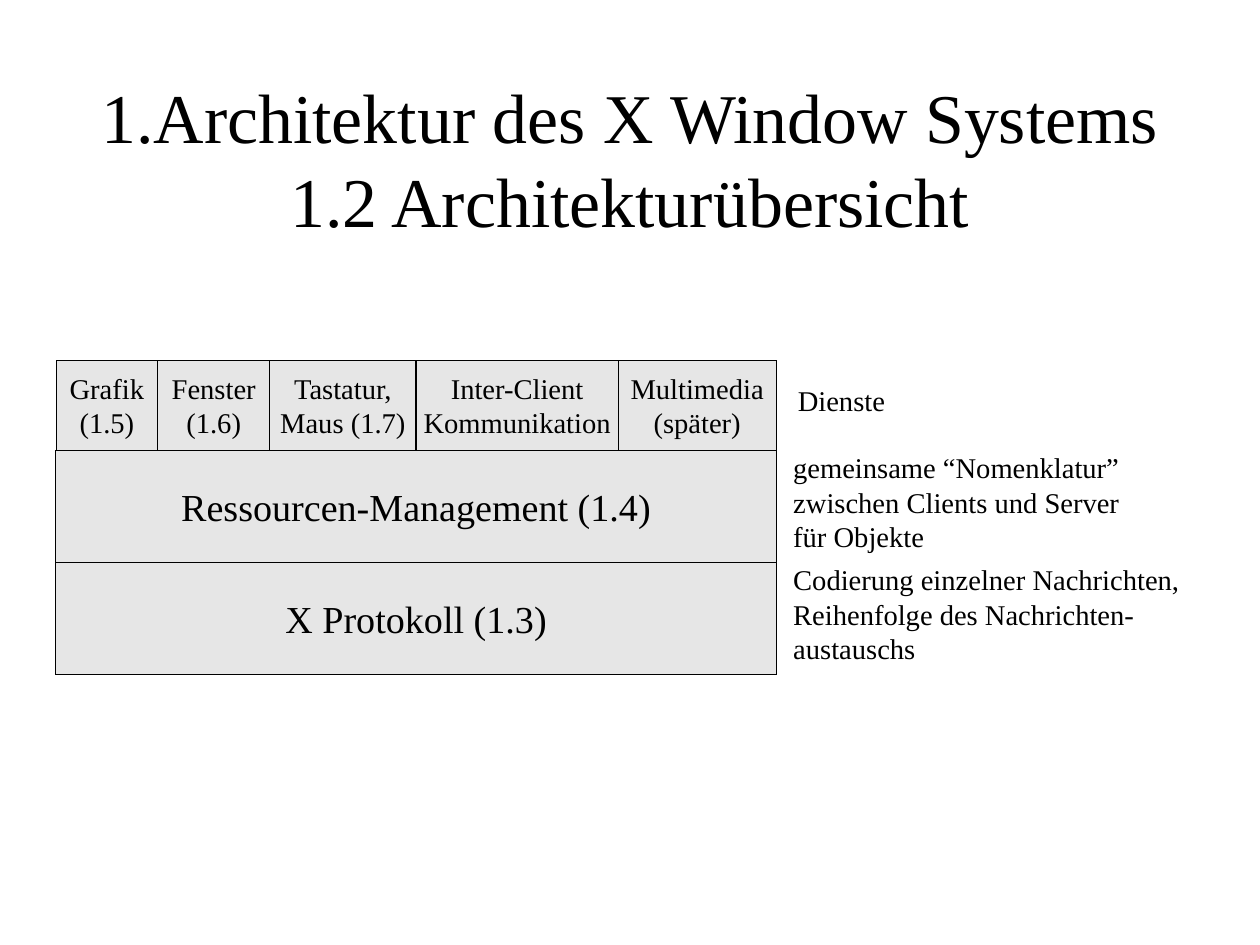
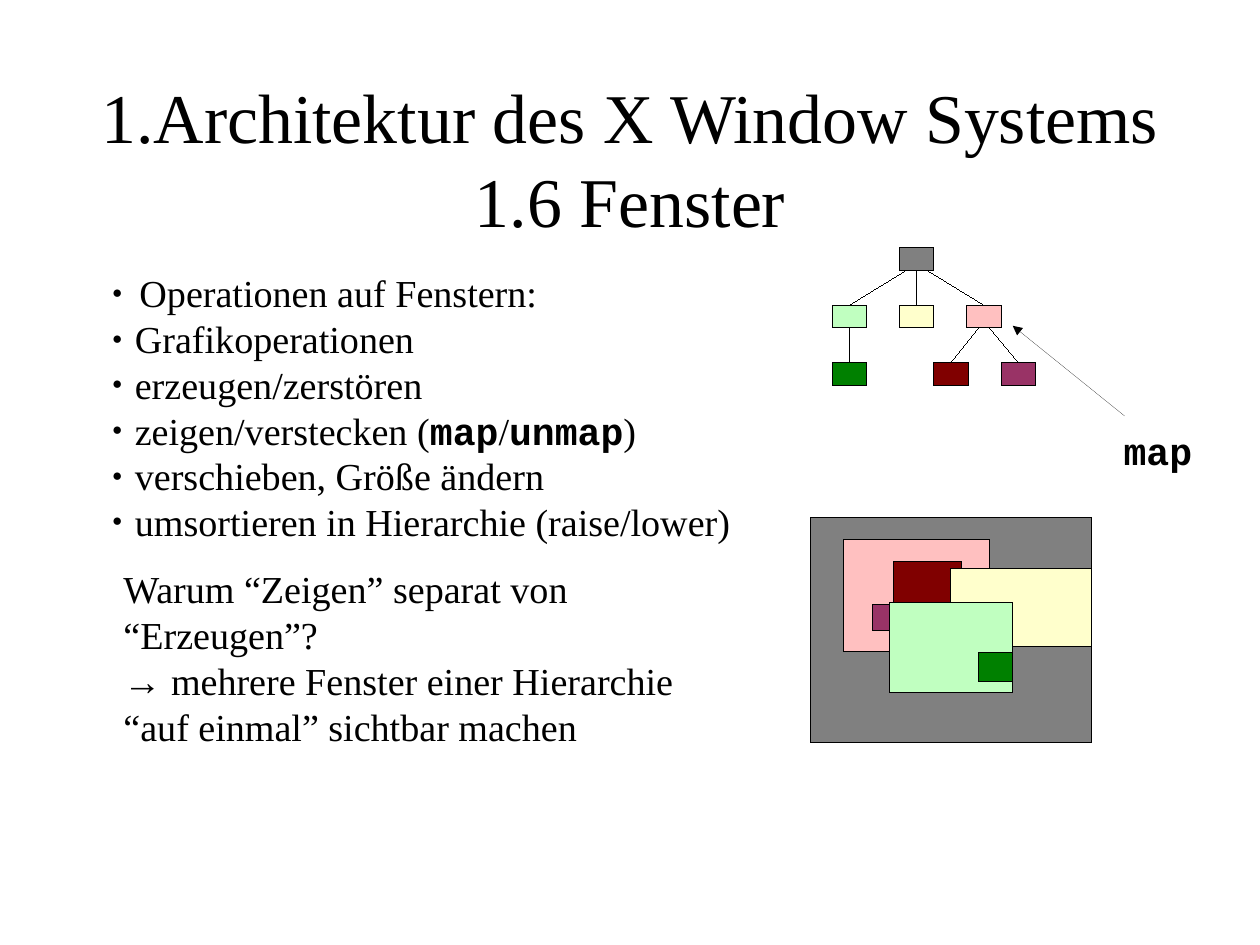
import pptx
import pptx.util
import pptx.dml.color
import pptx.enum.shapes
import pptx.enum.text
import pptx.oxml
import pptx.oxml.ns

Inches = pptx.util.Inches
ALIGN = pptx.enum.text.PP_ALIGN
ANCHOR = pptx.enum.text.MSO_ANCHOR
SERIF = "Times New Roman"
MONO = "Courier New"
INK, PALE = "000000", "E6E6E6"
GRAY, PINK, PLUM, WINE = "808080", "FFC0C0", "993366", "800000"
CREAM, MINT, GREEN = "FFFFCC", "C0FFC0", "008000"
HEAD = "1.Architektur des X Window Systems\n"
FRAME = {"margin_left": 0, "margin_top": 0, "margin_right": 0,
         "margin_bottom": 0, "word_wrap": True,
         "auto_size": pptx.enum.text.MSO_AUTO_SIZE.NONE}
PARA = {"space_before": pptx.util.Pt(0), "space_after": pptx.util.Pt(0)}
BULLET = ('<a:buClr {0}><a:srgbClr val="000000"/></a:buClr>',
          '<a:buSzPct {0} val="45000"/>',
          '<a:buFont {0} typeface="Times New Roman"/>',
          '<a:buChar {0} char="●"/>')


def style(item, form):
    for name, value in form.items():
        setattr(item, name, value)


def paint(color, value):
    color.rgb = pptx.dml.color.RGBColor.from_string(value)


def make(tag):
    return pptx.oxml.parse_xml(tag.format(pptx.oxml.ns.nsdecls("a")))


def edge(item):
    paint(item.line.color, INK)
    item._element.spPr.get_or_add_ln().set("w", "0")


def write(frame, lines, size, align=ALIGN.LEFT, anchor=ANCHOR.TOP):
    style(frame, FRAME)
    frame.vertical_anchor = anchor
    for i, line in enumerate(lines):
        para = frame.paragraphs[0] if i == 0 else frame.add_paragraph()
        style(para, PARA)
        para.alignment = align
        for part in [line] if isinstance(line, str) else line:
            text, face = (part, SERIF) if isinstance(part, str) else part
            for j, piece in enumerate(text.split("\n")):
                if j:
                    para.add_line_break()
                run = para.add_run()
                run.text = piece
                style(run.font, {"name": face, "size": pptx.util.Pt(size),
                                 "bold": face == MONO})
                paint(run.font.color, INK)


def place(item, box):
    style(item, dict(zip(("left", "top", "width", "height"),
                         map(Inches, box))))


def label(slide, box, lines, size):
    item = slide.shapes.add_textbox(*map(Inches, box))
    write(item.text_frame, lines, size)


def block(slide, box, fill, text="", size=18):
    item = slide.shapes.add_shape(
        pptx.enum.shapes.MSO_SHAPE.RECTANGLE, *map(Inches, box))
    item.shadow.inherit = False
    item.fill.solid()
    paint(item.fill.fore_color, fill)
    edge(item)
    if text:
        write(item.text_frame, [text], size, ALIGN.CENTER, ANCHOR.MIDDLE)
    return item


def link(slide, start, end):
    line = slide.shapes.add_connector(
        pptx.enum.shapes.MSO_CONNECTOR.STRAIGHT, *map(Inches, start + end))
    edge(line)
    line._element.spPr.append(make("<a:effectLst {}/>"))
    return line


def begin(deck, layout, topic):
    slide = deck.slides.add_slide(deck.slide_layouts[layout])
    title = slide.shapes.title
    place(title, (0.81, 0.69, 9.41, 1.38))
    write(title.text_frame, [HEAD + topic], 44, ALIGN.CENTER, ANCHOR.MIDDLE)
    return slide


def stack(slide, left, top, width):
    x, high = left, 0.79
    for wide, text in ((0.89, "Grafik\n(1.5)"), (0.98, "Fenster\n(1.6)"),
                       (1.28, "Tastatur,\nMaus (1.7)"),
                       (1.77, "Inter-Client\nKommunikation"),
                       (1.38, "Multimedia\n(später)")):
        block(slide, (x, top, wide, high), PALE, text)
        x += wide
    label(slide, (left + width + 0.19, top + 0.2, 2.86, 0.39),
          ["Dienste"], 18)
    rows = (("Ressourcen-Management (1.4)",
             ["gemeinsame “Nomenklatur”", "zwischen Clients und Server",
              "für Objekte"]),
            ("X Protokoll (1.3)",
             ["Codierung einzelner Nachrichten,",
              "Reihenfolge des Nachrichten-\naustauschs"]))
    y, high = top + high, 0.98
    for text, note in rows:
        block(slide, (left, y, width, high), PALE, text, 24)
        label(slide, (left + width + 0.15, y, 3.5, high), note, 18)
        y += high


def points(slide, box):
    body = slide.placeholders[1]
    place(body, box)
    write(body.text_frame, [
        "Operationen auf Fenstern:", "Grafikoperationen",
        "erzeugen/zerstören",
        ["zeigen/verstecken (", ("map", MONO), "/", ("unmap", MONO), ")"],
        "verschieben, Größe ändern",
        "umsortieren in Hierarchie (raise/lower)"], 24)
    for i, para in enumerate(body.text_frame.paragraphs):
        prop = para._p.get_or_add_pPr()
        dent = Inches(0.2 if i else 0.24)
        prop.set("marL", str(dent))
        prop.set("indent", str(-dent))
        for tag in BULLET:
            prop.append(make(tag))


def tree(slide, left, top):
    wide, high, step = 0.3, 0.2, 0.5
    nodes = {}
    for fill, x, row in ((GRAY, 0.59, 0), (MINT, 0, 1), (CREAM, 0.59, 1),
                         (PINK, 1.18, 1), (GREEN, 0, 2), (WINE, 0.89, 2),
                         (PLUM, 1.48, 2)):
        box = (left + x, top + row * step, wide, high)
        nodes[fill] = block(slide, box, fill), box
    for up, down, shift in ((GRAY, MINT, -0.1), (GRAY, CREAM, 0),
                            (GRAY, PINK, 0.1), (MINT, GREEN, 0),
                            (PINK, WINE, -0.05), (PINK, PLUM, 0.05)):
        (head, a), (tail, b) = nodes[up], nodes[down]
        line = link(slide, (a[0] + wide / 2 + shift, a[1] + high),
                    (b[0] + wide / 2, b[1]))
        if not shift:
            line.begin_connect(head, 2)
        line.end_connect(tail, 0)
    arrow = link(slide, (left + 2.56, top + 1.47), (left + 1.58, top + 0.68))
    arrow._element.spPr.get_or_add_ln().append(
        make('<a:tailEnd {} type="triangle"/>'))
    label(slide, (left + 2.55, top + 1.57, 0.7, 0.45), [[("map", MONO)]], 24)


def screen(slide, left, top):
    for fill, x, y, wide, high in (
            (GRAY, 0, 0, 2.46, 1.97), (PINK, 0.29, 0.19, 1.28, 0.98),
            (PLUM, 0.54, 0.76, 0.49, 0.23), (WINE, 0.73, 0.38, 0.59, 0.42),
            (CREAM, 1.23, 0.44, 1.23, 0.69), (MINT, 0.69, 0.74, 1.08, 0.79),
            (GREEN, 1.47, 1.18, 0.3, 0.25)):
        block(slide, (left + x, top + y, wide, high), fill)


def main():
    deck = pptx.Presentation()
    deck.slide_width = Inches(28 / 2.54)
    deck.slide_height = Inches(21 / 2.54)
    stack(begin(deck, 5, "1.2 Architekturübersicht"), 0.49, 3.15, 6.3)
    slide = begin(deck, 1, "1.6 Fenster")
    points(slide, (0.98, 2.36, 8.46, 2.4))
    label(slide, (1.08, 4.95, 5.31, 1.6),
          ["Warum “Zeigen” separat von “Erzeugen”?\n→ mehrere Fenster einer "
           "Hierarchie “auf einmal” sichtbar machen"], 24)
    screen(slide, 7.09, 4.53)
    tree(slide, 7.28, 2.17)
    deck.save("out.pptx")


if __name__ == "__main__":
    main()
